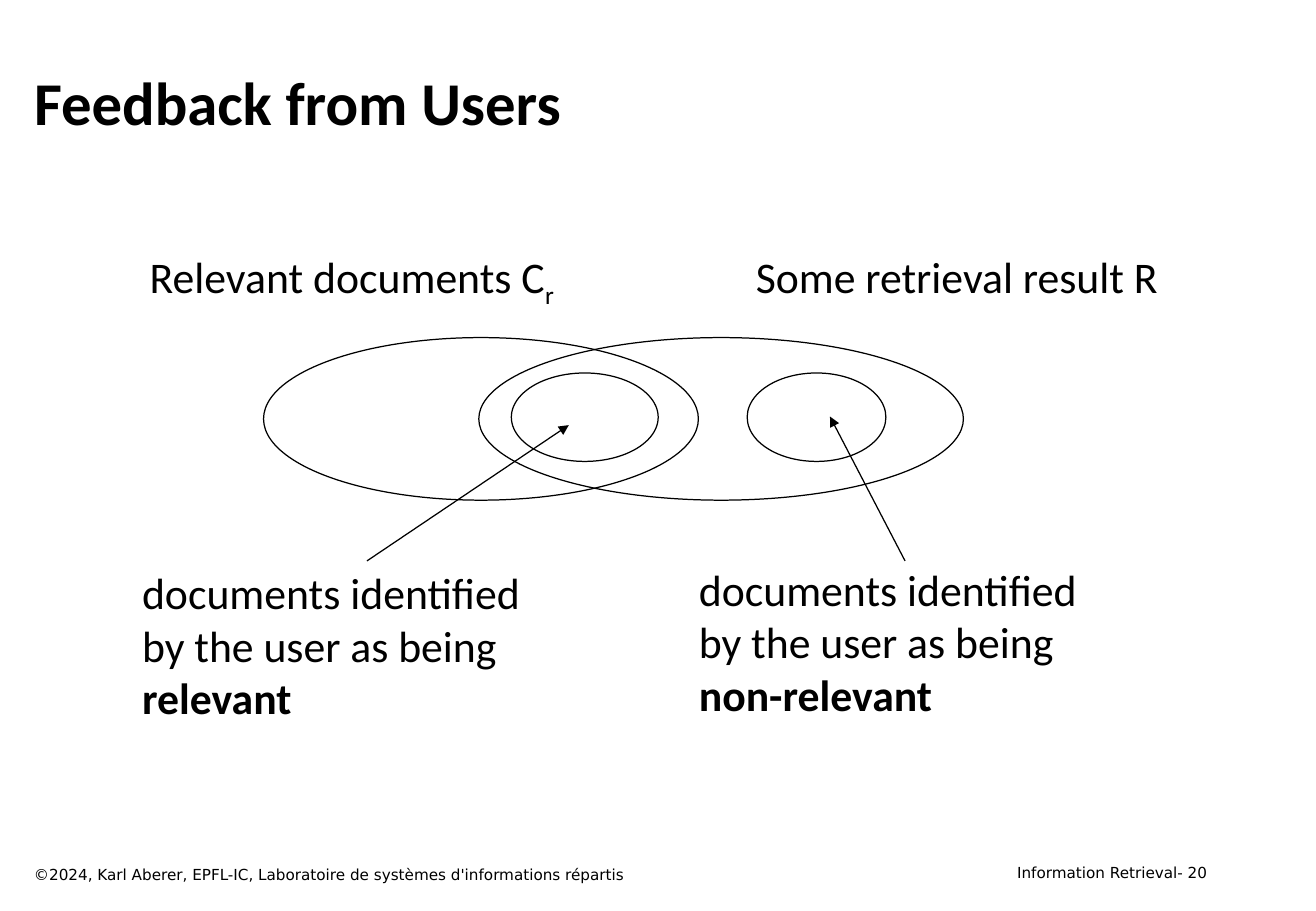
import pptx
import pptx.dml.color
import pptx.enum.shapes
import pptx.enum.text
import pptx.oxml
import pptx.oxml.ns
import pptx.util
from pptx.util import Cm

BLACK = pptx.dml.color.RGBColor(0, 0, 0)
LEFT = pptx.enum.text.PP_ALIGN.LEFT
RIGHT = pptx.enum.text.PP_ALIGN.RIGHT


class VennSlide:
    body_font = "Calibri"
    footer_font = "DejaVu Sans"
    line_width = pptx.util.Pt(0.75)

    def __init__(self, presentation):
        self.slide = presentation.slides.add_slide(presentation.slide_layouts[5])

    def format_font(self, font, name, size, bold=False):
        font.name = name
        font.size = pptx.util.Pt(size)
        font.bold = bold
        font.color.rgb = BLACK

    def format_line(self, line):
        line.color.rgb = BLACK
        line.width = self.line_width

    def title(self, text, left, top, width, height):
        shape = self.slide.shapes.title
        shape.left, shape.top = Cm(left), Cm(top)
        shape.width, shape.height = Cm(width), Cm(height)
        frame = shape.text_frame
        frame.text = text
        frame.auto_size = pptx.enum.text.MSO_AUTO_SIZE.NONE
        frame.vertical_anchor = pptx.enum.text.MSO_ANCHOR.MIDDLE
        frame.paragraphs[0].alignment = LEFT
        self.format_font(frame.paragraphs[0].runs[0].font, self.body_font, 36, True)

    def text_box(self, left, top, width, height):
        box = self.slide.shapes.add_textbox(Cm(left), Cm(top), Cm(width), Cm(height))
        box.text_frame.word_wrap = True
        return box.text_frame

    def footer(self, text, left, top, width, alignment):
        frame = self.text_box(left, top, width, 0.64)
        frame.text = text
        frame.paragraphs[0].alignment = alignment
        self.format_font(frame.paragraphs[0].runs[0].font, self.footer_font, 9)

    def body_text(self, lines, left, top, width, height, wrap=True):
        """Add a text box and return its paragraphs."""
        frame = self.text_box(left, top, width, height)
        frame.word_wrap = wrap
        frame.margin_left = frame.margin_right = Cm(0.23)
        frame.margin_top = frame.margin_bottom = Cm(0.11)
        frame.text = "\n".join(lines)
        for paragraph in frame.paragraphs:
            for run in paragraph.runs:
                self.format_font(run.font, self.body_font, 25.9)
        return frame.paragraphs

    def add_run(self, paragraph, text, bold=False, baseline=0):
        """Append a run; baseline is a shift in percent of the text size."""
        run = paragraph.add_run()
        run.text = text
        self.format_font(run.font, self.body_font, 25.9, bold)
        if baseline:
            run._r.get_or_add_rPr().set("baseline", str(baseline * 1000))

    def set_label(self, text, left, width, subscript=""):
        paragraph = self.body_text([text], left, 5.11, width, 1.32, wrap=False)[0]
        if subscript:
            self.add_run(paragraph, subscript, baseline=-25)

    def judgement(self, verdict, left, top, width):
        lines = ["documents identified", "by the user as being "]
        paragraphs = self.body_text(lines, left, top, width, 3.53)
        self.add_run(paragraphs[-1], verdict, bold=True)

    def ellipse(self, left, top, width, height):
        shape = self.slide.shapes.add_shape(
            pptx.enum.shapes.MSO_SHAPE.OVAL, Cm(left), Cm(top), Cm(width), Cm(height))
        shape.shadow.inherit = False
        shape.fill.background()
        self.format_line(shape.line)

    def arrow(self, start_x, start_y, end_x, end_y):
        connector = self.slide.shapes.add_connector(
            pptx.enum.shapes.MSO_CONNECTOR.STRAIGHT,
            Cm(start_x), Cm(start_y), Cm(end_x), Cm(end_y))
        self.format_line(connector.line)
        head = pptx.oxml.parse_xml(
            f'<a:tailEnd {pptx.oxml.ns.nsdecls("a")} type="triangle"/>')
        connector.line._get_or_add_ln().append(head)
        properties = connector._element.spPr
        properties.append(pptx.oxml.parse_xml(
            f'<a:effectLst {pptx.oxml.ns.nsdecls("a")}/>'))


def main():
    presentation = pptx.Presentation()
    presentation.slide_width = Cm(27.51)
    presentation.slide_height = Cm(19.05)

    venn = VennSlide(presentation)
    venn.title("Feedback from Users", 0.46, 0.84, 25, 2.54)
    venn.footer("Information Retrieval- 20", 19.74, 17.93, 5.74, RIGHT)
    venn.footer("©2024, Karl Aberer, EPFL-IC, Laboratoire de systèmes "
                "d'informations répartis", 0.46, 17.98, 17.65, LEFT)

    for left, width in ((5.51, 9.09), (10.01, 10.13)):
        venn.ellipse(left, 7.06, width, 3.4)
    for left, width in ((10.69, 3.07), (15.62, 2.9)):
        venn.ellipse(left, 7.8, width, 1.85)

    venn.set_label("Relevant documents C", 2.9, 8.97, subscript="r")
    venn.set_label("Some retrieval result R", 15.57, 8.89)

    venn.judgement("relevant", 2.74, 11.73, 9.12)
    venn.arrow(7.67, 11.73, 11.89, 8.89)
    venn.judgement("non-relevant", 14.38, 11.66, 9.37)
    venn.arrow(18.92, 11.73, 17.35, 8.71)

    presentation.save("out.pptx")


if __name__ == "__main__":
    main()
